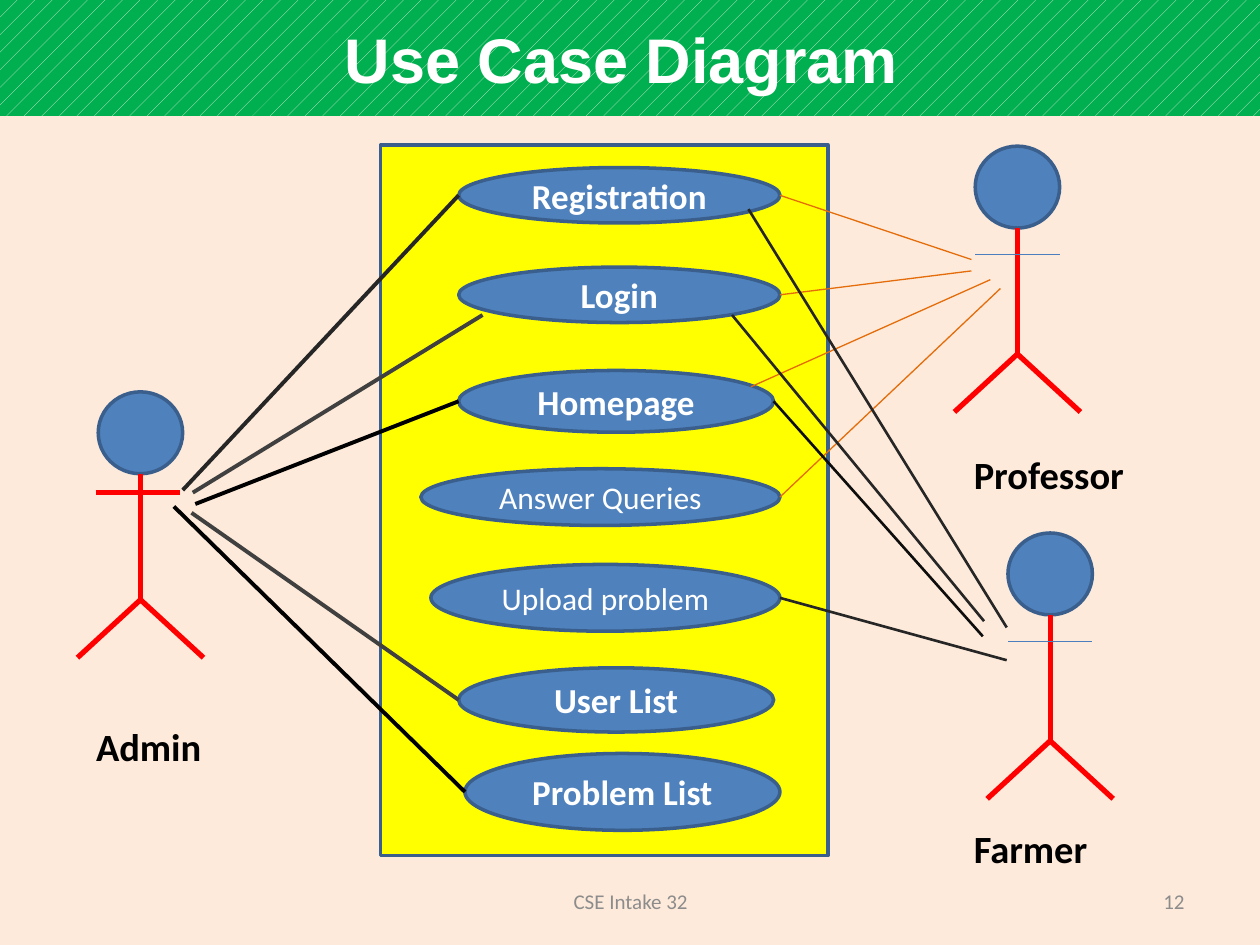
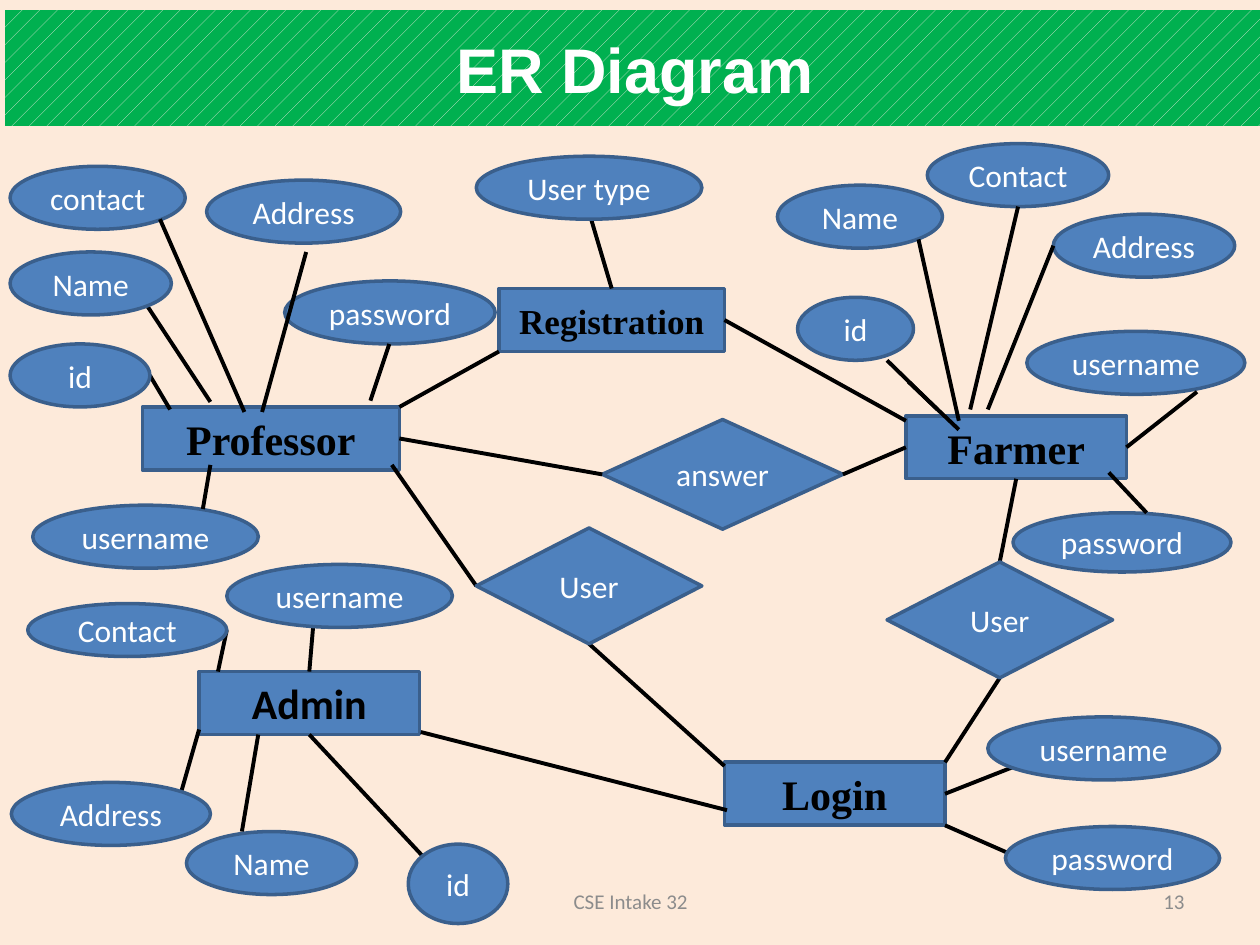
from lxml.etree import SubElement
from pptx import Presentation
from pptx.dml.color import RGBColor
from pptx.enum.dml import MSO_PATTERN
from pptx.enum.shapes import MSO_CONNECTOR, MSO_SHAPE
from pptx.enum.text import MSO_ANCHOR, MSO_AUTO_SIZE, PP_ALIGN
from pptx.oxml.ns import qn
from pptx.util import Inches, Pt

COLORS = {
    "page": "FDEADA", "band": "00B050", "stripe": "EEECE1", "system": "FFFF00",
    "node": "4F81BD", "outline": "3A5F8C", "white": "FFFFFF", "black": "000000",
    "footer": "8C8C8C", "limb": "FF0000", "thin arm": "4B7EBC",
    "professor": "E46C0A", "dark": "262626", "gray": "404040", "ink": "0D0D0D",
}
SERIF = "Times New Roman"
FOOTER = "CSE Intake 32"
# Points on a box, as shares of its width and height
SIDES = {
    "left": (0, 0.5), "right": (1, 0.5), "top": (0.5, 0), "bottom": (0.5, 1),
    "top left": (0, 0), "top right": (1, 0),
    "bottom left": (0, 1), "bottom right": (1, 1),
}

# Use case slide: name -> box, size, bold
SYSTEM_BOX = (3.02, 1.15, 3.55, 5.64)
USE_CASES = {
    "Registration": ((3.64, 1.33, 2.55, 0.44), 20, True),
    "Login": ((3.64, 2.12, 2.55, 0.44), 20, True),
    "Homepage": ((3.64, 2.94, 2.5, 0.49), 20, True),
    "Answer Queries": ((3.34, 3.72, 2.85, 0.45), 18, False),
    "Upload problem": ((3.42, 4.48, 2.77, 0.53), 18, False),
    "User List": ((3.64, 5.3, 2.5, 0.51), 20, True),
    "Problem List": ((3.69, 5.98, 2.5, 0.61), 20, True),
}
# Name, head corner, arm (left offset, color, width), label box, label alignment
ACTORS = [
    ("Admin", (0.78, 3.11), (-0.02, "limb", 3), (0.28, 5.69, 1.8, 0.47), PP_ALIGN.CENTER),
    ("Professor", (7.74, 1.16), (0, "thin arm", 0.75), (7.63, 3.53, 1.51, 0.47), PP_ALIGN.LEFT),
    ("Farmer", (8, 4.23), (0, "thin arm", 0.75), (7.63, 6.5, 1.79, 0.47), PP_ALIGN.LEFT),
]
# A line end is a point, or a box name with a side
USE_CASE_LINES = {
    2.25: [
        ((1.45, 3.89), ("Registration", "left"), "dark"),
        ((1.53, 3.91), (3.83, 2.5), "gray"),
        ((1.55, 4), ("Homepage", "left"), "black"),
        ((1.52, 4.07), ("User List", "left"), "gray"),
        ((1.38, 4.02), ("Problem List", "left"), "black"),
    ],
    0.75: [
        (("Registration", "right"), (7.71, 2.06), "professor"),
        (("Login", "right"), (7.71, 2.15), "professor"),
        ((5.96, 3.07), (7.86, 2.22), "professor"),
        (("Answer Queries", "right"), (7.94, 2.29), "professor"),
    ],
    1.5: [
        ((5.94, 1.66), (7.99, 4.98), "dark"),
        ((5.81, 2.5), (7.81, 4.93), "dark"),
        (("Homepage", "right"), (7.8, 5.05), "ink"),
        (("Upload problem", "right"), (7.99, 5.24), "dark"),
    ],
}

# ER slide: entities (box, size, font), relations and attributes
ENTITIES = {
    "Professor": ((1.13, 3.23, 2.04, 0.5), 24, SERIF),
    "Login": ((5.75, 6.05, 1.75, 0.5), 24, SERIF),
    "Admin": ((1.58, 5.33, 1.75, 0.5), 24, "Calibri"),
    "Registration": ((3.96, 2.29, 1.79, 0.5), 20, SERIF),
    "Farmer": ((7.19, 3.3, 1.75, 0.5), 24, SERIF),
}
RELATIONS = {
    "professor user": ("User", (3.78, 4.19, 1.79, 0.92)),
    "farmer user": ("User", (7.04, 4.46, 1.79, 0.92)),
    "answer": ("answer", (4.78, 3.33, 1.91, 0.87)),
}
# Text, left, top, width, and height where it is not the usual one
ATTRIBUTE_HEIGHT = 0.5
ATTRIBUTES = [
    # Login
    ("username", 7.84, 5.69, 1.84), ("password", 7.98, 6.56, 1.7),
    # Admin
    ("Contact", 0.22, 4.79, 1.58, 0.42), ("id", 3.24, 6.7, 0.79, 0.63),
    ("Name", 1.48, 6.6, 1.35), ("Address", 0.09, 6.21, 1.58),
    ("username", 1.8, 4.48, 1.79),
    # Professor
    ("Name", 0.08, 2, 1.28), ("contact", 0.08, 1.32, 1.39), ("id", 0.08, 2.73, 1.11),
    ("password", 2.26, 2.23, 1.67), ("Address", 1.64, 1.43, 1.54),
    ("username", 0.26, 4.01, 1.79),
    # Farmer
    ("id", 6.33, 2.36, 0.92), ("username", 8.15, 2.63, 1.73), ("Address", 8.36, 1.7, 1.44),
    ("Contact", 7.36, 1.14, 1.44), ("Name", 6.17, 1.47, 1.31),
    ("password", 8.04, 4.07, 1.73, 0.47),
    # Registration
    ("User type", 3.78, 1.24, 1.79),
]
LINES_BEHIND = [
    (("Professor", "top right"), ("Registration", "bottom left")),
    (("farmer user", "top"), ("Farmer", "bottom")),
    ((3.11, 3.69), ("professor user", "left")),
    (("Login", "top right"), ("farmer user", "bottom")),
    (("Registration", "right"), (7.19, 3.34)),
    ((3.34, 5.81), (5.77, 6.43)),
    ((2.05, 5.83), (1.92, 6.6)),
    (("professor user", "bottom"), (5.75, 6.08)),
    (("Admin", "bottom"), (3.35, 6.79)),
    ((1.58, 5.79), (1.44, 6.28)),
    ((1.19, 2.98), (1.35, 3.25)),
    ((2.49, 4.92), ("Admin", "top")),
    ((1.17, 2.43), (1.67, 3.19)),
    ((1.8, 5), (1.73, 5.33)),
    ((7.04, 2.86), (7.44, 3.25)),
    ((4.68, 1.7), ("Registration", "top")),
    (("Login", "bottom right"), (8, 6.77)),
    (("Login", "right"), (8.06, 6.08)),
]
LINES_IN_FRONT = [
    ((1.27, 1.74), (1.94, 3.27)), ((2.43, 2), (2.08, 3.27)),
    ((3.09, 2.73), (2.94, 3.18)), ((7.21, 3.03), (7.61, 3.41)),
    ((7.7, 3.25), (8.08, 1.64)), ((7.84, 3.25), (8.36, 1.95)),
    ((7.61, 3.34), (7.29, 1.9)), (("Farmer", "right"), (9.5, 3.11)),
    ((9.1, 4.07), (8.8, 3.75)), ((1.67, 3.69), (1.61, 4.04)),
    (("Professor", "right"), ("answer", "left")),
    (("answer", "right"), ("Farmer", "left")),
]


def color(name):
    return RGBColor.from_string(COLORS[name])


def inches(values):
    return [Inches(value) for value in values]


def write(shape, text, size=18, ink="white", bold=False, font="Calibri",
          align=PP_ALIGN.CENTER, anchor=MSO_ANCHOR.MIDDLE):
    frame = shape.text_frame
    frame.word_wrap = True
    frame.auto_size = MSO_AUTO_SIZE.NONE
    frame.vertical_anchor = anchor
    paragraph = frame.paragraphs[0]
    paragraph.alignment = align
    run = paragraph.add_run()
    run.text = text
    run.font.size, run.font.bold, run.font.name = Pt(size), bold, font
    run.font.color.rgb = color(ink)


def add_label(slide, text, box, **text_format):
    write(slide.shapes.add_textbox(*inches(box)), text, **text_format)


def add_node(slide, kind, box, text="", fill="node", **text_format):
    shape = slide.shapes.add_shape(kind, *inches(box))
    shape.shadow.inherit = False
    shape.fill.solid()
    shape.fill.fore_color.rgb = color(fill)
    shape.line.color.rgb = color("outline")
    shape.line.width = Pt(2)
    if text:
        shape.text_frame.margin_left = shape.text_frame.margin_right = 0
        write(shape, text, **text_format)


def add_line(slide, start, end, ink="black", width=2.25):
    line = slide.shapes.add_connector(MSO_CONNECTOR.STRAIGHT, *inches(start + end))
    line.line.color.rgb = color(ink)
    line.line.width = Pt(width)
    SubElement(line._element.spPr, qn("a:effectLst"))


def locate(end, boxes):
    """Turn a box name with a side into a point."""
    if end[0] not in boxes:
        return end
    left, top, width, height = boxes[end[0]]
    across, down = SIDES[end[1]]
    return left + across * width, top + down * height


def add_actor(slide, name, corner, arm, label_box, align):
    left, top = corner
    head_width, head_height = 0.67, 0.65
    add_node(slide, MSO_SHAPE.FLOWCHART_CONNECTOR, (left, top, head_width, head_height))
    middle, neck = left + head_width / 2, top + head_height
    hip, shoulder = neck + 1, top + 0.86
    if name == "Admin":
        shoulder = top + 0.8
    offset, ink, width = arm
    add_line(slide, (middle, neck), (middle, hip), "limb", 3)
    add_line(slide, (left + offset, shoulder), (left + offset + head_width, shoulder), ink, width)
    for step in (0.5, -0.5):
        add_line(slide, (middle, hip), (middle + step, hip + 0.46), "limb", 3)
    add_label(slide, name, label_box, size=22, ink="black", bold=True,
              align=align, anchor=MSO_ANCHOR.TOP)


def add_slide(presentation, title_text, number, corner=(0, 0)):
    slide = presentation.slides.add_slide(presentation.slide_layouts.get_by_name("Title Only"))
    # Title band
    title = slide.shapes.title
    title.left, title.top, title.width, title.height = inches((*corner, 10, 0.92))
    title.fill.patterned()
    title.fill.pattern = MSO_PATTERN.PERCENT_5
    title.fill.fore_color.rgb = color("stripe")
    title.fill.back_color.rgb = color("band")
    write(title, title_text, size=36, bold=True, font="Arial")
    # Footer and slide number
    add_label(slide, FOOTER, (3.42, 6.95, 3.17, 0.4), size=12, ink="footer")
    add_label(slide, str(number), (7.17, 6.95, 2.33, 0.4), size=12, ink="footer",
              align=PP_ALIGN.RIGHT)
    return slide


def build_use_cases(presentation):
    slide = add_slide(presentation, "Use Case Diagram ", 12)
    add_node(slide, MSO_SHAPE.FLOWCHART_PROCESS, SYSTEM_BOX, fill="system")
    for name, (box, size, bold) in USE_CASES.items():
        add_node(slide, MSO_SHAPE.OVAL, box, name, size=size, bold=bold)
    for actor in ACTORS:
        add_actor(slide, *actor)
    boxes = {name: case[0] for name, case in USE_CASES.items()}
    for width, lines in USE_CASE_LINES.items():
        for start, end, ink in lines:
            add_line(slide, locate(start, boxes), locate(end, boxes), ink, width)


def build_entities(presentation):
    slide = add_slide(presentation, "ER Diagram", 13, corner=(0.04, 0.08))
    boxes = {name: entity[0] for name, entity in ENTITIES.items()}
    boxes.update({name: relation[1] for name, relation in RELATIONS.items()})
    for name, (box, size, font) in ENTITIES.items():
        add_node(slide, MSO_SHAPE.RECTANGLE, box, name, size=size, font=font,
                 ink="black", bold=True)
    for start, end in LINES_BEHIND:
        add_line(slide, locate(start, boxes), locate(end, boxes))
    for text, box in RELATIONS.values():
        add_node(slide, MSO_SHAPE.FLOWCHART_DECISION, box, text)
    for text, left, top, width, *height in ATTRIBUTES:
        box = (left, top, width, height[0] if height else ATTRIBUTE_HEIGHT)
        add_node(slide, MSO_SHAPE.OVAL, box, text)
    for start, end in LINES_IN_FRONT:
        add_line(slide, locate(start, boxes), locate(end, boxes))


def main():
    presentation = Presentation()
    presentation.slide_width, presentation.slide_height = Inches(10), Inches(7.5)
    background = presentation.slide_master.background.fill
    background.solid()
    background.fore_color.rgb = color("page")
    build_use_cases(presentation)
    build_entities(presentation)
    presentation.save("out.pptx")


if __name__ == "__main__":
    main()
